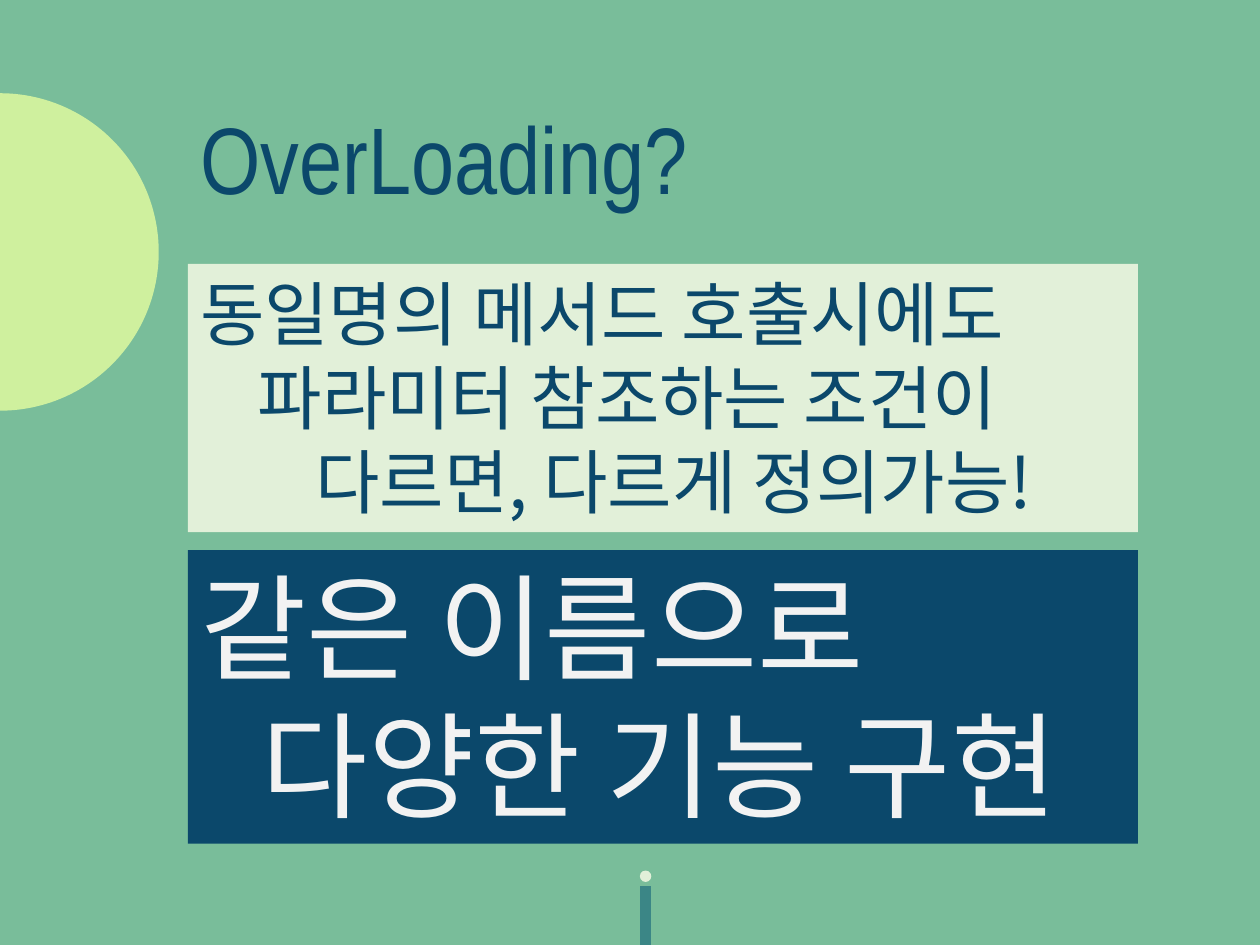
from dataclasses import dataclass

from lxml import etree
from pptx import Presentation
from pptx.dml.color import RGBColor
from pptx.enum.shapes import MSO_CONNECTOR, MSO_SHAPE
from pptx.enum.text import MSO_ANCHOR, MSO_AUTO_SIZE, PP_ALIGN
from pptx.oxml.ns import qn
from pptx.util import Cm, Pt

RECT, OVAL = MSO_SHAPE.RECTANGLE, MSO_SHAPE.OVAL
STRAIGHT = MSO_CONNECTOR.STRAIGHT
TOP, LEFT = MSO_ANCHOR.TOP, PP_ALIGN.LEFT
NO_FIT = MSO_AUTO_SIZE.NONE

TITLE_ONLY = 5
KOREAN_FONT = "Noto Sans CJK KR"
TITLE_FONT = "Arial Narrow"
NAVY, MINT, LIME = "0B486B", "E2F0D9", "CFF09E"
GREEN, TEAL, WHITE = "79BD9A", "3B8686", "F2F2F2"
PANEL_X, PANEL_W = 3.79, 19.15


@dataclass
class Panel:
    top: float
    height: float
    fill: str
    color: str
    size: int
    leading: int
    step: float
    lines: tuple[str, ...]


PANELS = (
    Panel(5.32, 5.41, MINT, NAVY, 40, 48, 1.16,
          ("동일명의 메서드 호출시에도", "파라미터 참조하는 조건이", "다르면, 다르게 정의가능!")),
    Panel(11.09, 5.92, NAVY, WHITE, 66, 79, 1.24,
          ("같은 이름으로", "다양한 기능 구현")),
)


def rgb(value: str) -> RGBColor:
    return RGBColor.from_string(value)


def add_block(s, kind, x: float, y: float, w: float, h: float, fill: str):
    sp = s.shapes.add_shape(kind, Cm(x), Cm(y), Cm(w), Cm(h))
    sp.shadow.inherit = False
    sp.fill.solid()
    sp.fill.fore_color.rgb = rgb(fill)
    sp.line.fill.background()
    return sp


def add_run(p, text: str, font: str, size: int, color: str) -> None:
    r = p.add_run()
    r.text = text
    r.font.name = font
    r.font.size = Pt(size)
    r.font.color.rgb = rgb(color)
    ea = etree.SubElement(r.font._element, qn("a:ea"))
    ea.set("typeface", font)


def add_panel(s, panel: Panel) -> None:
    add_block(s, RECT, PANEL_X, panel.top, PANEL_W, panel.height, panel.fill)
    box = s.shapes.add_textbox(Cm(PANEL_X), Cm(panel.top), Cm(PANEL_W), Cm(panel.height))
    tf = box.text_frame
    tf.word_wrap = True
    for i, line in enumerate(panel.lines):
        p = tf.add_paragraph() if i else tf.paragraphs[0]
        p.line_spacing = Pt(panel.leading)
        p._p.get_or_add_pPr().set("marL", str(Cm(i * panel.step)))
        add_run(p, line, KOREAN_FONT, panel.size, panel.color)


def set_title(s, text: str) -> None:
    sp = s.shapes.title
    sp.left, sp.top, sp.width, sp.height = Cm(PANEL_X), Cm(1.88), Cm(15.16), Cm(2.57)
    tf = sp.text_frame
    tf.word_wrap = True
    tf.auto_size = NO_FIT
    tf.vertical_anchor = TOP
    p = tf.paragraphs[0]
    p.alignment = LEFT
    add_run(p, text, TITLE_FONT, 54, NAVY)


def add_stem(s, x: float, top: float, bottom: float) -> None:
    stem = s.shapes.add_connector(STRAIGHT, Cm(x), Cm(bottom), Cm(x), Cm(top))
    stem.line.color.rgb = rgb(TEAL)
    stem.line.width = Pt(6)
    etree.SubElement(stem._element.spPr, qn("a:effectLst"))


def main() -> None:
    prs = Presentation()
    prs.slide_width, prs.slide_height = Cm(25.4), Cm(19.05)
    s = prs.slides.add_slide(prs.slide_layouts[TITLE_ONLY])
    s.background.fill.solid()
    s.background.fill.fore_color.rgb = rgb(GREEN)

    set_title(s, "OverLoading?")
    add_block(s, OVAL, -3.2, 1.88, 6.4, 6.4, LIME)
    for panel in PANELS:
        add_panel(s, panel)
    add_stem(s, 13.01, 17.86, 19.05)
    add_block(s, OVAL, 12.9, 17.55, 0.23, 0.23, MINT)

    prs.save("out.pptx")


if __name__ == "__main__":
    main()
